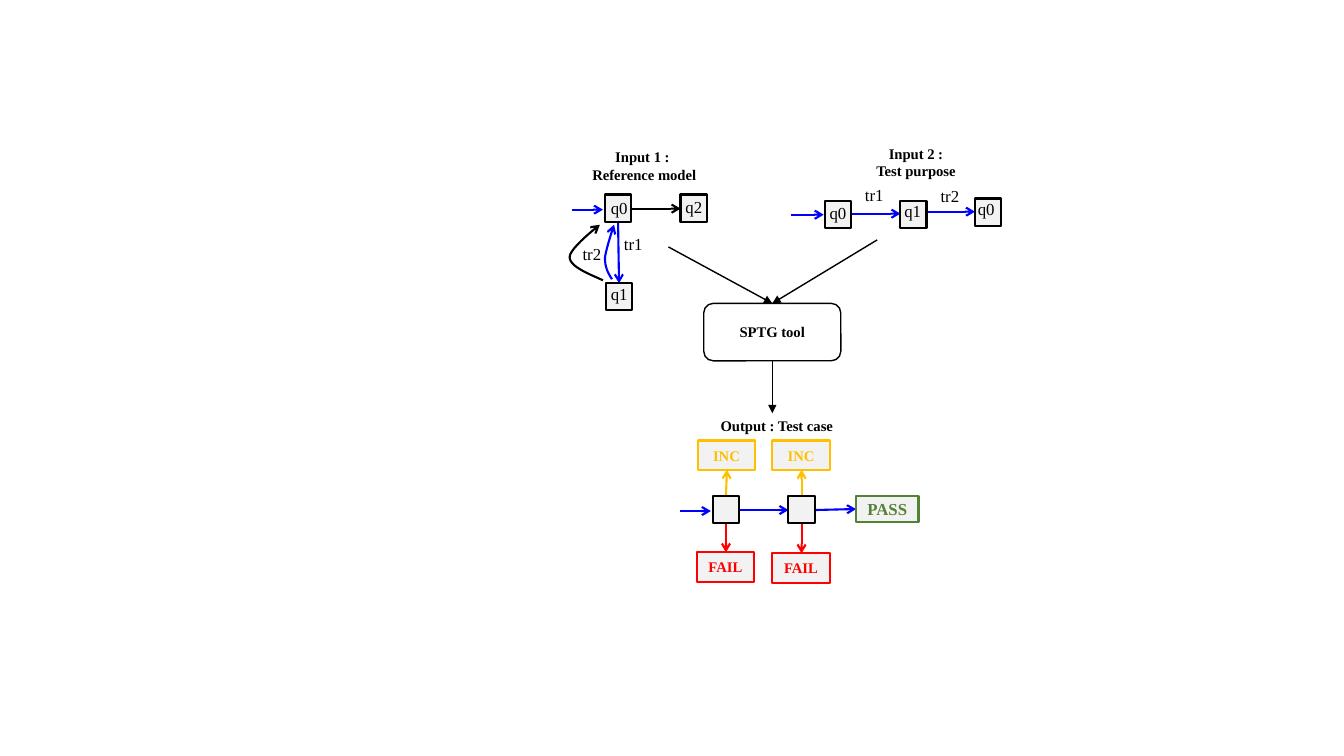
from lxml import etree
from pptx import Presentation
from pptx import util as u
from pptx.dml import color
from pptx.enum import shapes, text
from pptx.oxml import ns

PX = 9144  # EMU in one px, 100 px to the inch
BLACK, BLUE, RED = "000000", "0000FF", "FF0000"
GOLD, GREEN, GREY, WHITE = "FFC000", "548235", "F2F2F2", "FFFFFF"
hue = color.RGBColor.from_string
MID, LEFT = text.PP_ALIGN.CENTER, text.PP_ALIGN.LEFT
TOP, CENTRE = text.MSO_ANCHOR.TOP, text.MSO_ANCHOR.MIDDLE
FLAT = {"margin_left": 0, "margin_right": 0, "margin_top": 0, "margin_bottom": 0}

deck = Presentation()
deck.slide_width, deck.slide_height = 1333 * PX, 750 * PX
slide = deck.slides.add_slide(deck.slide_layouts[6])
parts = slide.shapes


def write(shape, words, size, tint=BLACK, bold=True, align=MID, **frame):
    body = shape.text_frame
    for key, val in {"word_wrap": True, "vertical_anchor": CENTRE, **frame}.items():
        setattr(body, key, val)
    look = {"name": "Times New Roman", "size": u.Pt(size), "bold": bold}
    for i, row in enumerate(words.split("\n")):
        para = body.paragraphs[0] if i == 0 else body.add_paragraph()
        para.alignment = align
        run = para.add_run()
        run.text = row
        for key, val in look.items():
            setattr(run.font, key, val)
        run.font.color.rgb = hue(tint)


def stroke(shape, tint, width=1.5, head=None):
    shape.line.color.rgb = hue(tint)
    shape.line.width = u.Pt(width)
    if head:
        tail = etree.SubElement(shape.line._get_or_add_ln(), ns.qn("a:tailEnd"))
        tail.set("type", head)


# Arrows: x1, y1, x2, y2, colour, width, head
thin = (BLACK, 1, "triangle")
blue, dark, gold, red = [(c, 1.5, "arrow") for c in (BLUE, BLACK, GOLD, RED)]
arrows = [
    (567, 208, 598, 208, *blue), (626, 207, 675, 207, *dark),
    (613, 220, 614, 281, *blue),
    (785, 213, 817, 213, *blue), (844, 212, 893, 212, *blue),
    (917, 210, 967, 210, *blue),
    (663, 245, 766, 301, *thin), (870, 238, 766, 301, *thin),
    (766, 358, 766, 410, *thin),
    (674, 507, 705, 507, *blue), (733, 506, 782, 506, *blue),
    (808, 506, 849, 505, *blue),
    (720, 492, 721, 466, *gold), (795, 492, 795, 466, *gold),
    (720, 519, 720, 548, *red), (795, 519, 795, 549, *red),
]
for *ends, tint, width, head in arrows:
    link = parts.add_connector(shapes.MSO_CONNECTOR.STRAIGHT, *[v * PX for v in ends])
    stroke(link, tint, width, head)
    etree.SubElement(link._element.spPr, ns.qn("a:effectLst"))

# Curved arrows from q1 back to q0, as Bezier control points
curves = [
    (BLUE, [[(607, 277), (603, 271), (600, 265), (600, 256)],
            [(600, 256), (601, 247), (609, 223), (609, 223)]]),
    (BLACK, [[(598, 278), (582, 271), (565, 264), (565, 255)],
             [(565, 255), (565, 246), (595, 223), (595, 223)]]),
]
STEPS = 12
for tint, arcs in curves:
    dots = []
    for arc in arcs:
        for n in range(1, STEPS + 1):
            t = n / STEPS
            mix = ((1 - t) ** 3, 3 * t * (1 - t) ** 2, 3 * t * t * (1 - t), t ** 3)
            dots.append([round(PX * sum(m * p[k] for m, p in zip(mix, arc)))
                         for k in (0, 1)])
    x, y = arcs[0][0]
    path = parts.build_freeform(x * PX, y * PX)
    path.add_line_segments(dots, close=False)
    curve = path.convert_to_shape()
    curve.shadow.inherit = False
    curve.fill.background()
    stroke(curve, tint, 1.5, "arrow")

# Boxes: x, y, w, h, colour, label, text size
states = [(600, 193), (601, 281), (675, 193), (818, 199), (893, 199), (967, 197),
          (707, 492), (782, 492)]
boxes = [(x, y, 26, 27, BLACK, "", 12) for x, y in states]
boxes += [
    (692, 437, 57, 29, GOLD, "INC", 10.5), (766, 437, 57, 29, GOLD, "INC", 10.5),
    (691, 548, 57, 29, RED, "FAIL", 10.5), (766, 549, 57, 29, RED, "FAIL", 10.5),
    (849, 492, 62, 26, GREEN, "PASS", 12),
]
for *area, tint, label, size in boxes:
    box = parts.add_shape(shapes.MSO_SHAPE.RECTANGLE, *[v * PX for v in area])
    box.shadow.inherit = False
    box.fill.solid()
    box.fill.fore_color.rgb = hue(GREY)
    stroke(box, tint)
    if label:
        write(box, label, size, tint, **FLAT)

# Tool
tool = parts.add_shape(shapes.MSO_SHAPE.ROUNDED_RECTANGLE,
                       698 * PX, 301 * PX, 136 * PX, 57 * PX)
tool.shadow.inherit = False
tool.fill.solid()
tool.fill.fore_color.rgb = hue(WHITE)
stroke(tool, BLACK, 1)
write(tool, "SPTG tool", 10.5)

# Headings
heads = [
    (537, 142, 204, 45, "Input 1 : \nReference model", TOP),
    (826, 135, 165, 52, "Input 2 :\nTest purpose", CENTRE),
    (688, 402, 165, 40, "Output : Test case", CENTRE),
]
for *area, label, anchor in heads:
    write(parts.add_textbox(*[v * PX for v in area]), label, 10.5,
          vertical_anchor=anchor)

# State and transition names
names = [
    (596, 191, "q0"), (596, 277, "q1"), (670, 190, "q2"),
    (609, 227, "tr1"), (568, 237, "tr2"),
    (813, 196, "q0"), (887, 194, "q1"), (960, 192, "q0"),
    (848, 178, "tr1"), (923, 179, "tr2"),
]
for x, y, label in names:
    note = parts.add_textbox(x * PX, y * PX, 48 * PX, 30 * PX)
    write(note, label, 12, bold=False, align=LEFT, vertical_anchor=TOP)

deck.save("out.pptx")
